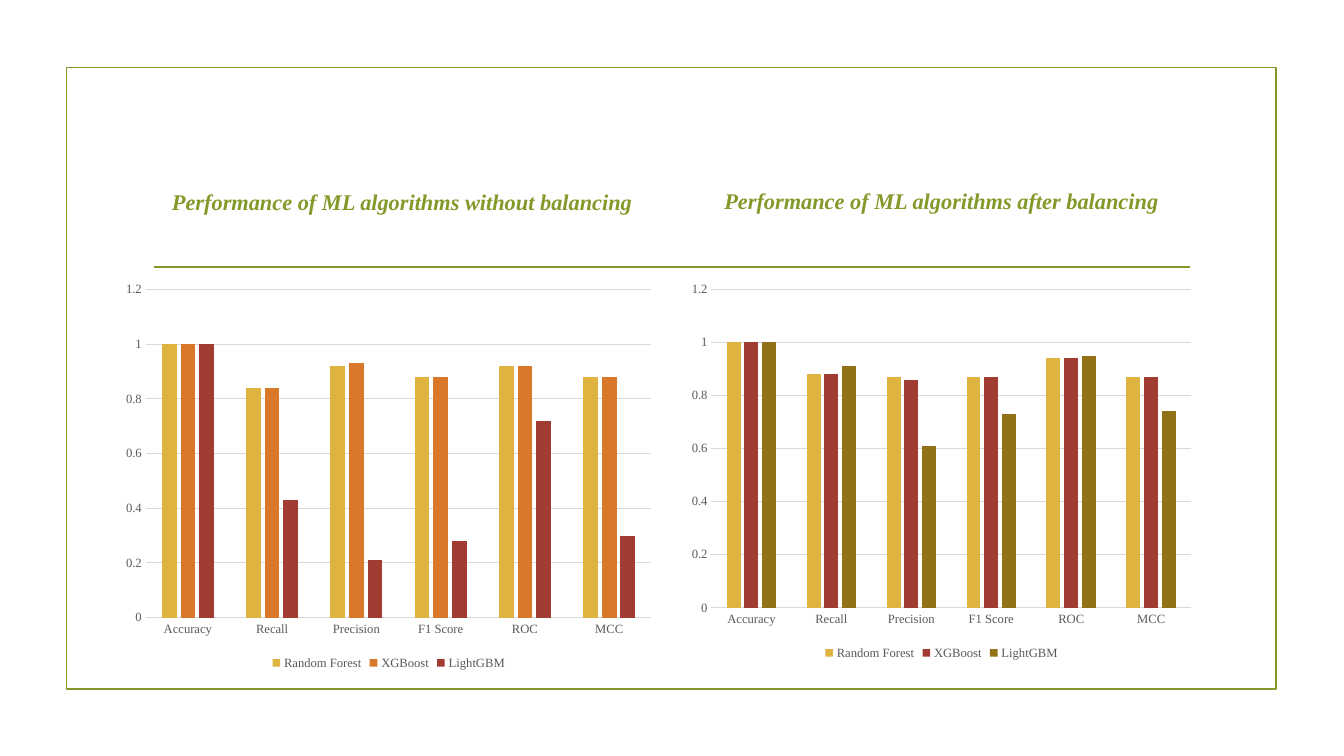
import pptx
import pptx.chart.data
import pptx.dml.color
import pptx.enum.chart
import pptx.enum.shapes
import pptx.enum.text
import pptx.oxml
import pptx.oxml.ns
import pptx.util
from dataclasses import dataclass

Cm = pptx.util.Cm
Pt = pptx.util.Pt


@dataclass
class Theme:
    face: str = "Times New Roman"
    green: str = "83992A"
    grid: str = "D9D9D9"
    grey: str = "595959"
    gold: str = "DEB340"
    orange: str = "D97828"
    red: str = "A23C33"
    brown: str = "927119"
    head: int = 16
    label: int = 9
    frame: float = 1.25
    hair: float = 0.75


theme = Theme()


def rgb(code):
    return pptx.dml.color.RGBColor.from_string(code)


def style(font, size, color, **extra):
    font.color.rgb = rgb(color)
    look = {"name": theme.face, "size": Pt(size), **extra}
    for key, value in look.items():
        setattr(font, key, value)


deck = pptx.Presentation()
deck.slide_width, deck.slide_height = Cm(33.87), Cm(19.05)
slide = deck.slides.add_slide(deck.slide_layouts[6])
shapes = slide.shapes

# Frame
frame = shapes.add_shape(pptx.enum.shapes.MSO_SHAPE.RECTANGLE,
                         Cm(1.68), Cm(1.7), Cm(30.48), Cm(15.67))
frame.shadow.inherit = False
frame.fill.background()

# Rule below the headings
rule = shapes.add_connector(pptx.enum.shapes.MSO_CONNECTOR.STRAIGHT,
                            Cm(3.89), Cm(6.73), Cm(30), Cm(6.73))
rule.element.spPr.append(pptx.oxml.parse_xml(
    f'<a:effectLst {pptx.oxml.ns.nsdecls("a")}/>'))
for item in (frame, rule):
    item.line.color.rgb = rgb(theme.green)
    item.line.width = Pt(theme.frame)

# Headings: text, left, top, height
heads = [
    ("Performance of ML algorithms without balancing", 3.58, 4.17, 2.26),
    ("Performance of ML algorithms after balancing", 17.17, 4.75, 1.65),
]
for text, left, top, height in heads:
    box = shapes.add_textbox(Cm(left), Cm(top), Cm(13.11), Cm(height))
    frame_set = {
        "word_wrap": True,
        "vertical_anchor": pptx.enum.text.MSO_ANCHOR.BOTTOM,
        "margin_bottom": Cm(1),
    }
    for key, value in frame_set.items():
        setattr(box.text_frame, key, value)
    para = box.text_frame.paragraphs[0]
    para.text = text
    para.alignment = pptx.enum.text.PP_ALIGN.CENTER
    style(para.runs[0].font, theme.head, theme.green, bold=True, italic=True)

# Charts: left, width, height, then colour and scores per model
cats = ["Accuracy", "Recall", "Precision", "F1 Score", "ROC", "MCC"]
models = ["Random Forest", "XGBoost", "LightGBM"]
charts = [
    (2.9, 13.79, 10.08, [
        (theme.gold, [1, 0.84, 0.92, 0.88, 0.92, 0.88]),
        (theme.orange, [1, 0.84, 0.93, 0.88, 0.92, 0.88]),
        (theme.red, [1, 0.43, 0.21, 0.28, 0.72, 0.3]),
    ]),
    (17.17, 13.11, 9.83, [
        (theme.gold, [1, 0.88, 0.87, 0.87, 0.94, 0.87]),
        (theme.red, [1, 0.88, 0.86, 0.87, 0.94, 0.87]),
        (theme.brown, [1, 0.91, 0.61, 0.73, 0.95, 0.74]),
    ]),
]
for left, width, height, rows in charts:
    data = pptx.chart.data.CategoryChartData()
    data.categories = cats
    for model, (color, scores) in zip(models, rows):
        data.add_series(model, scores)
    chart = shapes.add_chart(
        pptx.enum.chart.XL_CHART_TYPE.COLUMN_CLUSTERED,
        Cm(left), Cm(6.91), Cm(width), Cm(height), data).chart
    style(chart.font, theme.label, theme.grey)
    chart.has_title = False

    # Bars
    plot = chart.plots[0]
    bars = {"gap_width": 219, "overlap": -27, "vary_by_categories": False}
    for key, value in bars.items():
        setattr(plot, key, value)
    for series, (color, scores) in zip(plot.series, rows):
        series.format.fill.solid()
        series.format.fill.fore_color.rgb = rgb(color)

    # Axes
    scale = {"minimum_scale": 0, "maximum_scale": 1.2, "major_unit": 0.2,
             "has_major_gridlines": True}
    for key, value in scale.items():
        setattr(chart.value_axis, key, value)
    for axis in (chart.category_axis, chart.value_axis):
        axis.major_tick_mark = pptx.enum.chart.XL_TICK_MARK.NONE
        style(axis.tick_labels.font, theme.label, theme.grey)
    chart.value_axis.format.line.fill.background()
    for line in (chart.category_axis.format.line,
                 chart.value_axis.major_gridlines.format.line):
        line.color.rgb = rgb(theme.grid)
        line.width = Pt(theme.hair)

    # Legend
    chart.has_legend = True
    chart.legend.position = pptx.enum.chart.XL_LEGEND_POSITION.BOTTOM
    chart.legend.include_in_layout = False
    style(chart.legend.font, theme.label, theme.grey)

deck.save("out.pptx")
